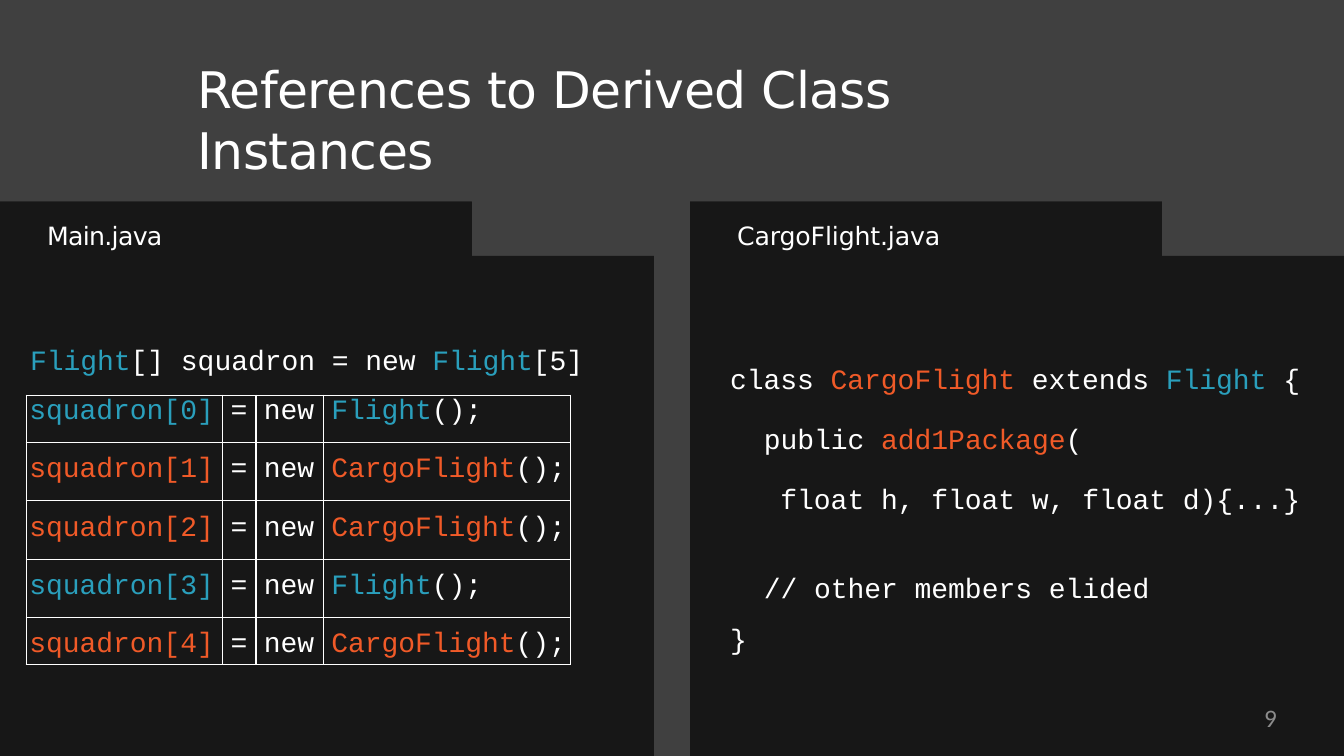
from pptx import Presentation
from pptx.dml.color import RGBColor
from pptx.enum.shapes import MSO_SHAPE
from pptx.enum.text import MSO_ANCHOR, PP_ALIGN
from pptx.util import Cm, Pt

GREY, DARK, WHITE = "404040", "171717", "FFFFFF"
BLUE, RED, DIM = "2A9FBC", "F05A28", "8C8C8C"
CODE, SANS = "Courier New", "DejaVu Sans"
WIDE, HIGH = 33.87, 19.05
PANEL, TAB = 16.48, 11.89
TOP, STEP = 5.08, 6.45


def paint(obj, color):
    obj.fill.solid()
    obj.fill.fore_color.rgb = RGBColor.from_string(color)


def finish(shape, color):
    paint(shape, color)
    shape.line.fill.background()
    shape.shadow.inherit = False
    return shape


def rect(slide, x, y, w, h, color):
    box = slide.shapes.add_shape(MSO_SHAPE.RECTANGLE, Cm(x), Cm(y), Cm(w), Cm(h))
    return finish(box, color)


def folder(slide, x):
    """Draw a panel with a file tab at its upper left."""
    points = [(x + TAB, TOP), (x + TAB, STEP), (x + PANEL, STEP),
              (x + PANEL, HIGH), (x, HIGH)]
    form = slide.shapes.build_freeform(Cm(x), Cm(TOP), scale=1.0)
    form.add_line_segments([(Cm(a), Cm(b)) for a, b in points])
    finish(form.convert_to_shape(), DARK)


def frame(shape, left=0, top=0):
    body = shape.text_frame
    body.word_wrap = True
    body.vertical_anchor = MSO_ANCHOR.TOP
    body.margin_left, body.margin_top = Cm(left), Cm(top)
    body.margin_right = body.margin_bottom = 0
    return body


def write(para, runs, size=20, font=CODE, space=-5, align=PP_ALIGN.LEFT):
    """Fill a paragraph from (text, colour) pairs; space is in 1/100 pt."""
    para.alignment = align
    para.font.size, para.font.name = Pt(size), font
    for text, color in runs:
        run = para.add_run()
        run.text = text
        run.font.color.rgb = RGBColor.from_string(color)
        run._r.get_or_add_rPr().set("spc", str(space))


def label(slide, x, y, w, h, runs, **style):
    box = slide.shapes.add_textbox(Cm(x), Cm(y), Cm(w), Cm(h))
    body = frame(box)
    write(body.paragraphs[0], runs, **style)
    return body


def tab(slide, x, name, space):
    body = frame(rect(slide, x, TOP, TAB, STEP - TOP, DARK), 1.19, 0.48)
    write(body.paragraphs[0], [(name, WHITE)], 18, SANS, space)


def grid(slide, kinds):
    """List one assignment per row, coloured by the class it creates."""
    widths, heights = [4.95, 0.84, 1.7, 6.22], [1.19, 1.47, 1.47, 1.47, 1.19]
    item = slide.shapes.add_table(5, 4, Cm(0.66), Cm(9.96), Cm(13.71), Cm(6.79))
    table = item.table
    table.first_row = table.horz_banding = False
    for col, width in zip(table.columns, widths):
        col.width = Cm(width)
    for i, (kind, height) in enumerate(zip(kinds, heights)):
        table.rows[i].height = Cm(height)
        color = RED if kind == "CargoFlight" else BLUE
        parts = [[(f"squadron[{i}]", color)], [("=", WHITE)], [("new", WHITE)],
                 [(kind, color), ("();", WHITE)]]
        for j, runs in enumerate(parts):
            cell = table.cell(i, j)
            paint(cell, DARK)
            cell.margin_left = Cm(0.2 if j else 0.08)
            cell.margin_top = Cm(0.3 if i else 0.03)
            cell.margin_right = cell.margin_bottom = 0
            write(cell.text_frame.paragraphs[0], runs)


def source(slide):
    """Write the class listing in the right panel."""
    body = label(slide, 18.4, 9.11, 14.6, 6, [
        ("class ", WHITE), ("CargoFlight ", RED), ("extends ", WHITE),
        ("Flight ", BLUE), ("{", WHITE)])
    lines = [
        (0.85, 19, [("public ", WHITE), ("add1Package", RED), ("(", WHITE)]),
        (1.27, 19, [("float h, float w, float d){...}", WHITE)]),
        (0.85, 39.5, [("// other members elided", WHITE)]),
    ]
    for indent, before, runs in lines:
        para = body.add_paragraph()
        para._p.get_or_add_pPr().set("marL", str(Cm(indent)))
        para.space_before = Pt(before)
        write(para, runs)
    label(slide, 18.4, 15.67, 0.6, 0.9, [("}", WHITE)])


def main():
    deck = Presentation()
    deck.slide_width, deck.slide_height = Cm(WIDE), Cm(HIGH)
    slide = deck.slides.add_slide(deck.slide_layouts[6])
    rect(slide, 0, 0, WIDE, HIGH, GREY)
    right = WIDE - PANEL
    for x in (0, right):
        folder(slide, x)
    first = frame(rect(slide, 0, 6.88, PANEL, HIGH - 6.88, DARK), 0.76, 1.76)
    write(first.paragraphs[0], [
        ("Flight", BLUE), ("[] squadron = new ", WHITE),
        ("Flight", BLUE), ("[5]", WHITE)])
    grid(slide, ["Flight", "CargoFlight", "CargoFlight", "Flight", "CargoFlight"])
    label(slide, 4.98, 1.47, 23, 1.6, [("References to Derived Class Instances", WHITE)],
          size=36, font=SANS, space=-40)
    tab(slide, 0, "Main.java", -50)
    source(slide)
    tab(slide, right, "CargoFlight.java", -10)
    label(slide, 24.38, 17.7, 7.8, 0.97, [("9", DIM)],
          size=18, font="Calibri", space=0, align=PP_ALIGN.RIGHT)
    deck.save("out.pptx")


if __name__ == "__main__":
    main()
